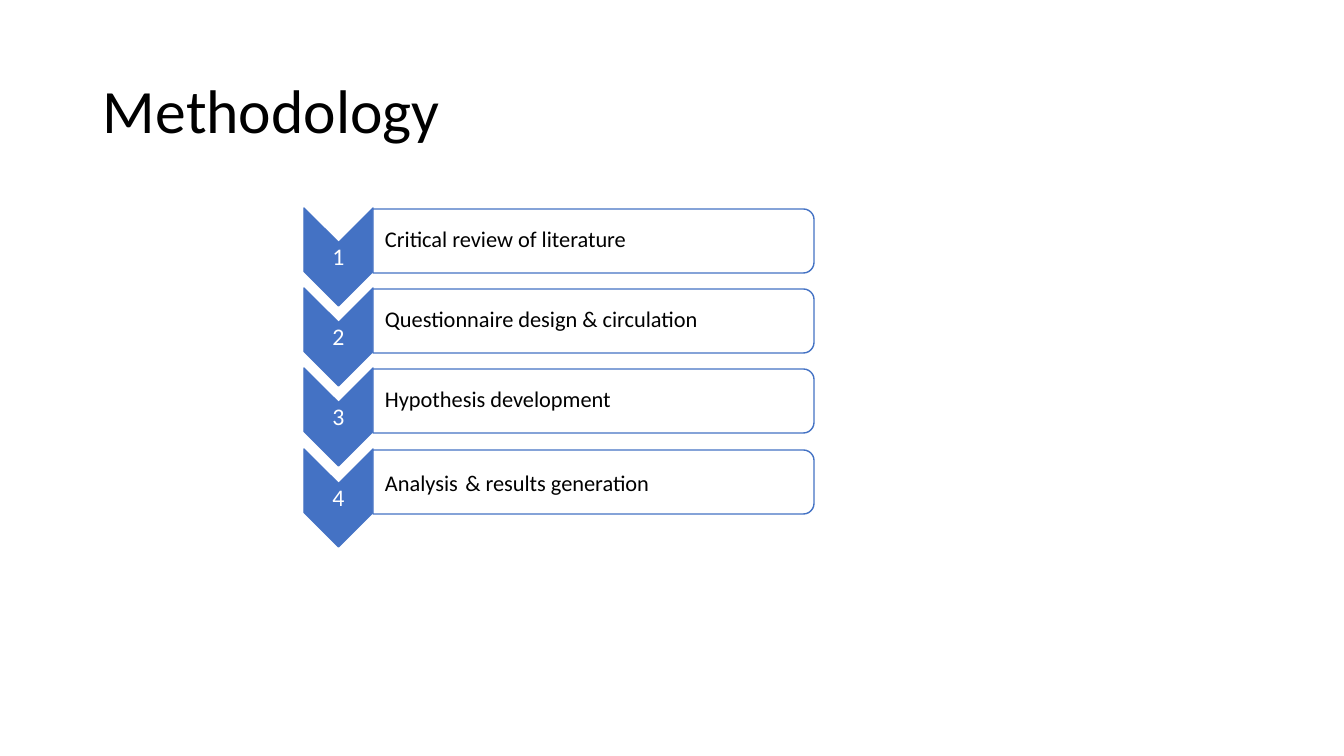
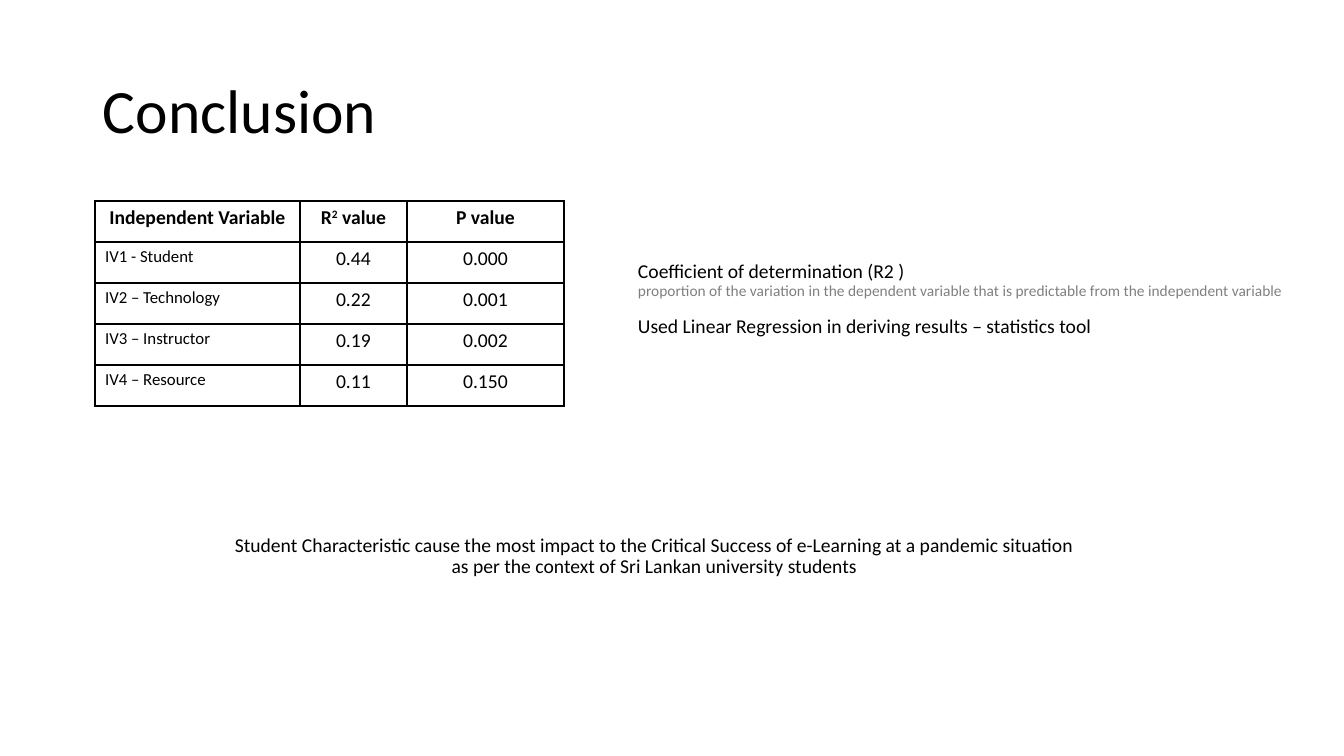
from dataclasses import dataclass

from lxml.etree import SubElement
from pptx import Presentation
from pptx.dml.color import RGBColor
from pptx.enum.shapes import MSO_SHAPE as Shape
from pptx.enum.text import MSO_ANCHOR as Anchor, PP_ALIGN as Align
from pptx.oxml.ns import qn
from pptx.util import Pt

PX = 914400 / 100.8
FONT = "Calibri"
BLACK = RGBColor(0x00, 0x00, 0x00)
WHITE = RGBColor(0xFF, 0xFF, 0xFF)
GRAY = RGBColor(0x80, 0x80, 0x80)
BLUE = RGBColor(0x44, 0x72, 0xC4)


@dataclass
class Span:
    text: str
    size: int = 14
    color: RGBColor = BLACK
    bold: bool = False
    raised: bool = False


def px(length):
    return round(length * PX)


class Deck:
    def __init__(self):
        self.file = Presentation()
        self.file.slide_width, self.file.slide_height = px(1344), px(756)
        self.page = None

    def add_page(self, title):
        self.page = self.file.slides.add_slide(self.file.slide_layouts[6])
        self.text(93, 41, 1159, 146, [[Span(title, 44)]])

    def fill_paragraph(self, para, spans, align=Align.LEFT):
        para.alignment = align
        for span in spans:
            run = para.add_run()
            run.text = span.text
            font = run.font
            font.name, font.size, font.bold = FONT, Pt(span.size), span.bold
            font.color.rgb = span.color
            if span.raised:
                run._r.get_or_add_rPr().set("baseline", "30000")

    def text(self, left, top, width, height, lines, align=Align.LEFT,
             insets=(10, 5, 10, 5), gaps=None):
        """Add vertically centred text; gaps maps a line's index to points above it."""
        box = self.page.shapes.add_textbox(px(left), px(top), px(width), px(height))
        frame = box.text_frame
        frame.word_wrap = True
        frame.vertical_anchor = Anchor.MIDDLE
        (frame.margin_left, frame.margin_top,
         frame.margin_right, frame.margin_bottom) = map(px, insets)
        for index, spans in enumerate(lines):
            para = frame.add_paragraph() if index else frame.paragraphs[0]
            para.line_spacing = 0.9
            para.space_before = Pt((gaps or {}).get(index, 0))
            self.fill_paragraph(para, spans, align)

    def quarter_turned(self, kind, left, top, width, height, fill, alpha=100):
        """Add a shape turned by 90 degrees; the box given is the one seen on the slide."""
        shift = (width - height) / 2
        shape = self.page.shapes.add_shape(
            kind, px(left + shift), px(top - shift), px(height), px(width))
        shape.rotation = 90
        shape.shadow.inherit = False
        shape.fill.solid()
        shape.fill.fore_color.rgb = fill
        if alpha < 100:
            color = shape._element.spPr.find(qn("a:solidFill")).find(qn("a:srgbClr"))
            SubElement(color, qn("a:alpha"), val=str(alpha * 1000))
        shape.line.color.rgb = BLUE
        shape.line.width = Pt(1)

    def step(self, top, number, spans):
        self.quarter_turned(Shape.CHEVRON, 304, top, 69, 98, BLUE)
        self.text(304, top + 35, 69, 29, [[Span(number, 17, WHITE)]],
                  Align.CENTER, (1, 1, 1, 1))
        self.quarter_turned(Shape.ROUND_2_SAME_RECTANGLE, 373, top + 1, 441, 64, WHITE, 90)
        self.text(373, top + 4, 438, 57, [spans], insets=(12, 1, 1, 1))

    def border(self, cell):
        properties = cell._tc.get_or_add_tcPr()
        for side in ("lnL", "lnR", "lnT", "lnB"):
            line = SubElement(properties, qn(f"a:{side}"), w=str(Pt(1)))
            SubElement(SubElement(line, qn("a:solidFill")), qn("a:srgbClr"), val=str(BLACK))

    def table(self, left, top, widths, row_height, rows):
        """Add a ruled table with its first column left-aligned below the header."""
        table = self.page.shapes.add_table(
            len(rows), len(widths), px(left), px(top),
            px(sum(widths)), px(row_height * len(rows))).table
        table.first_row = table.horz_banding = False
        for column, width in zip(table.columns, widths):
            column.width = px(width)
        for row_index, row in enumerate(rows):
            table.rows[row_index].height = px(row_height)
            for column_index, spans in enumerate(row):
                cell = table.cell(row_index, column_index)
                self.border(cell)
                cell.fill.background()
                align = Align.LEFT if row_index and not column_index else Align.CENTER
                self.fill_paragraph(cell.text_frame.paragraphs[0], spans, align)


def build_methodology(deck):
    deck.add_page("Methodology")
    steps = [
        [Span("Critical review of literature", 16)],
        [Span("Questionnaire design & circulation", 16)],
        [Span("Hypothesis development", 16)],
        [Span("Analysis", 16), Span(" ", 23), Span("& results generation", 16)],
    ]
    for index, spans in enumerate(steps):
        deck.step(208 + 241 * index // 3, str(index + 1), spans)


def build_conclusion(deck):
    deck.add_page("Conclusion")
    header = [
        [Span("Independent Variable", bold=True)],
        [Span("R", bold=True), Span("2", bold=True, raised=True), Span(" value", bold=True)],
        [Span("P value", bold=True)],
    ]
    results = [
        ("IV1 - Student", "0.44", "0.000"),
        ("IV2 – Technology", "0.22", "0.001"),
        ("IV3 – Instructor", "0.19", "0.002"),
        ("IV4 – Resource", "0.11", "0.150"),
    ]
    body = [[[Span(variable, 12)], [Span(r_squared)], [Span(p_value)]]
            for variable, r_squared, p_value in results]
    deck.table(95, 201, (205, 107, 157), 41, [header] + body)
    deck.text(628, 235, 686, 129, [
        [Span("Coefficient of determination (R2 )")],
        [Span("proportion of the variation in the dependent variable that is "
              "predictable from the independent variable", 11, GRAY)],
        [Span("Used Linear Regression in deriving results – statistics tool")],
    ], gaps={2: 12})
    deck.text(224, 492, 861, 129, [
        [Span("Student Characteristic cause the most impact to the Critical Success of "
              "e-Learning at a pandemic situation as per the context of Sri Lankan "
              "university students")],
    ], Align.CENTER)


def main():
    deck = Deck()
    build_methodology(deck)
    build_conclusion(deck)
    deck.file.save("out.pptx")


if __name__ == "__main__":
    main()
